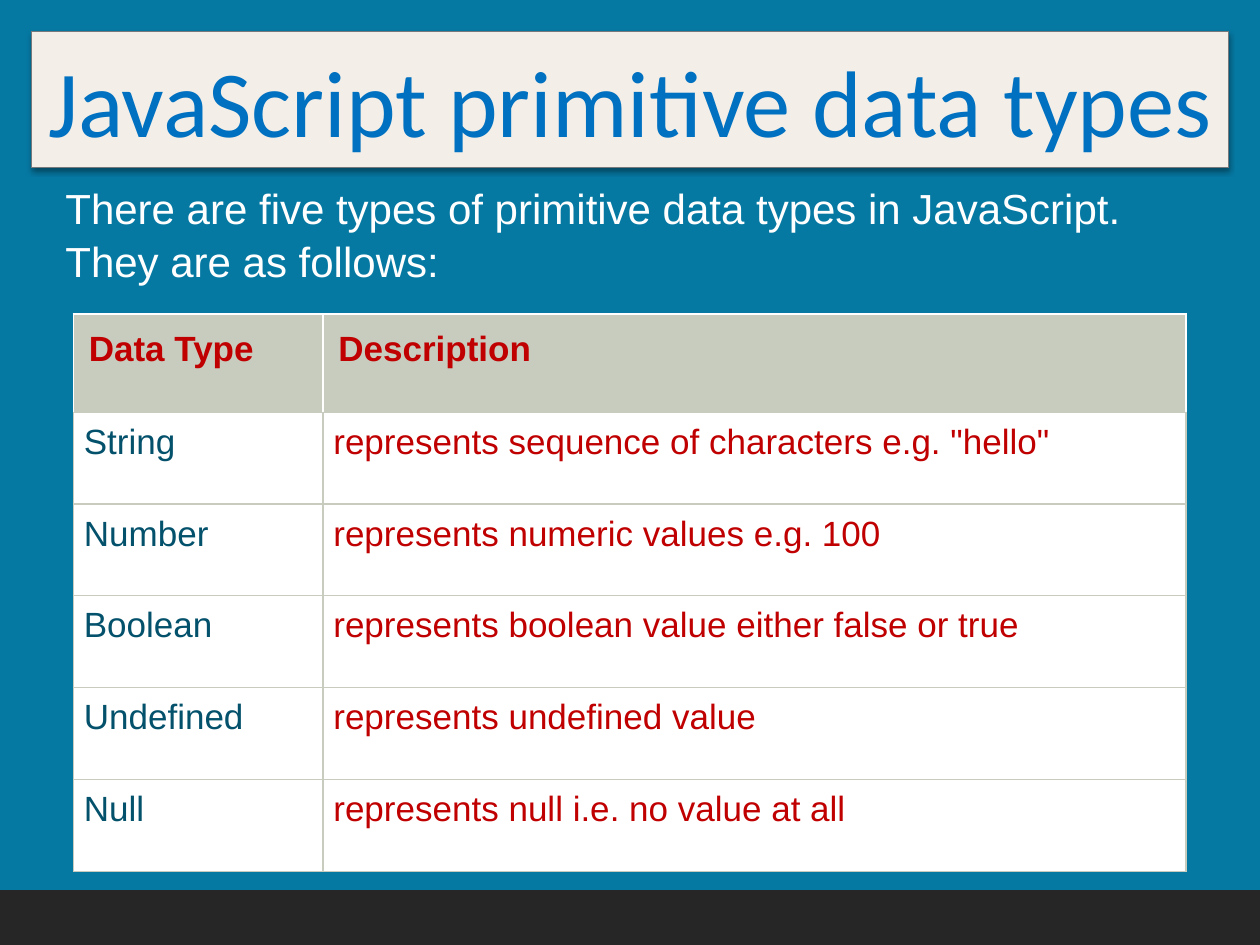
from dataclasses import dataclass

from lxml import etree
from pptx import Presentation
from pptx import util as u
from pptx.dml.color import RGBColor
from pptx.enum import shapes, text
from pptx.oxml import ns

TEAL = RGBColor(0x06, 0x79, 0xA3)
CREAM = RGBColor(0xF3, 0xEF, 0xE8)
GRAY = RGBColor(0x76, 0x78, 0x7B)
BLUE = RGBColor(0x00, 0x70, 0xC0)
DARK = RGBColor(0x26, 0x26, 0x26)
WHITE = RGBColor(0xFF, 0xFF, 0xFF)
SAGE = RGBColor(0xC7, 0xCC, 0xBE)
RED = RGBColor(0xC0, 0x00, 0x00)
NAVY = RGBColor(0x04, 0x51, 0x6C)
BLACK = RGBColor(0x00, 0x00, 0x00)


@dataclass(frozen=True)
class Box:
    left: float
    top: float
    width: float
    height: float

    def lengths(self) -> tuple:
        return tuple(u.Cm(n) for n in (self.left, self.top, self.width, self.height))


@dataclass(frozen=True)
class DataType:
    name: str
    description: str


@dataclass(frozen=True)
class CellStyle:
    colors: tuple[RGBColor, RGBColor]
    fill: RGBColor
    margin: float
    borders: tuple[str, ...]
    bold: bool = False


HEADER = DataType("Data Type", "Description")
DATA_TYPES = [
    DataType("String", 'represents sequence of characters e.g. "hello"'),
    DataType("Number", "represents numeric values e.g. 100"),
    DataType("Boolean", "represents boolean value either false or true"),
    DataType("Undefined", "represents undefined value"),
    DataType("Null", "represents null i.e. no value at all"),
]
HEADER_STYLE = CellStyle((RED, RED), SAGE, 0.31, ("lnB",), bold=True)
BODY_STYLE = CellStyle((NAVY, RED), WHITE, 0.21, ("lnL", "lnR", "lnT", "lnB"))
COLUMN_WIDTHS = (5.03, 17.4)
HEADER_HEIGHT = 1.98
ROW_HEIGHT = 1.85


def write(frame, content: str, *, size: float, color: RGBColor, font: str = "Arial",
          bold: bool = False, align=text.PP_ALIGN.LEFT, space_after: float = 0) -> None:
    """Fill a text frame, one paragraph per line of content."""
    for index, line in enumerate(content.split("\n")):
        paragraph = frame.add_paragraph() if index else frame.paragraphs[0]
        paragraph.alignment = align
        paragraph.space_after = u.Pt(space_after)
        run = paragraph.add_run()
        run.text = line
        run.font.name = font
        run.font.size = u.Pt(size)
        run.font.bold = bold
        run.font.color.rgb = color


def add_color(parent, color: RGBColor):
    return etree.SubElement(parent, ns.qn("a:srgbClr"), val=str(color))


def add_rectangle(slide, box: Box, fill: RGBColor, line: RGBColor, line_width: float):
    shape = slide.shapes.add_shape(shapes.MSO_SHAPE.RECTANGLE, *box.lengths())
    shape.shadow.inherit = False
    shape.fill.solid()
    shape.fill.fore_color.rgb = fill
    shape.line.color.rgb = line
    shape.line.width = u.Pt(line_width)
    return shape


def add_drop_shadow(shape) -> None:
    effects = shape._element.spPr.find(ns.qn("a:effectLst"))
    shadow = etree.SubElement(
        effects, ns.qn("a:outerShdw"), blurRad=str(u.Pt(3.1)), dist=str(u.Pt(1.6)),
        dir="5400000", rotWithShape="0")
    etree.SubElement(add_color(shadow, BLACK), ns.qn("a:alpha"), val="38000")


def add_title(slide) -> None:
    shape = add_rectangle(slide, Box(0.64, 0.64, 24.13, 2.74), CREAM, GRAY, 0.75)
    add_drop_shadow(shape)
    frame = shape.text_frame
    frame.word_wrap = True
    frame.vertical_anchor = text.MSO_ANCHOR.MIDDLE
    frame.margin_left = frame.margin_right = u.Cm(0.2)
    write(frame, "JavaScript primitive data types", size=54, color=BLUE,
          font="Calibri", align=text.PP_ALIGN.CENTER)


def add_intro(slide) -> None:
    frame = slide.shapes.add_textbox(*Box(1.07, 3.43, 22.23, 5.82).lengths()).text_frame
    frame.word_wrap = True
    frame.margin_top = u.Cm(0.24)
    write(frame, "There are five types of primitive data types in JavaScript.\n"
                 "They are as follows:", size=24, color=WHITE, space_after=1.5)


def format_cell(cell, style: CellStyle) -> None:
    cell.margin_left = cell.margin_right = u.Cm(style.margin)
    cell.margin_top = cell.margin_bottom = u.Cm(style.margin)
    properties = cell._tc.get_or_add_tcPr()
    for side in style.borders:
        border = etree.SubElement(properties, ns.qn(f"a:{side}"), w=str(u.Pt(0.75)))
        add_color(etree.SubElement(border, ns.qn("a:solidFill")), SAGE)
    cell.fill.solid()
    cell.fill.fore_color.rgb = style.fill


def add_type_table(slide) -> None:
    rows = [HEADER, *DATA_TYPES]
    height = HEADER_HEIGHT + ROW_HEIGHT * len(DATA_TYPES)
    box = Box(1.48, 6.33, sum(COLUMN_WIDTHS), height)
    table = slide.shapes.add_table(len(rows), len(COLUMN_WIDTHS), *box.lengths()).table
    for column, width in zip(table.columns, COLUMN_WIDTHS):
        column.width = u.Cm(width)
    for index, data_type in enumerate(rows):
        style = BODY_STYLE if index else HEADER_STYLE
        table.rows[index].height = u.Cm(ROW_HEIGHT if index else HEADER_HEIGHT)
        contents = (data_type.name, data_type.description)
        for cell, content, color in zip(table.rows[index].cells, contents, style.colors):
            format_cell(cell, style)
            write(cell.text_frame, content, size=20, color=color, bold=style.bold)


def main() -> None:
    presentation = Presentation()
    presentation.slide_width = u.Cm(25.4)
    presentation.slide_height = u.Cm(19.05)
    slide = presentation.slides.add_slide(presentation.slide_layouts[6])
    slide.background.fill.solid()
    slide.background.fill.fore_color.rgb = TEAL
    add_title(slide)
    add_type_table(slide)
    add_rectangle(slide, Box(0, 17.98, 25.4, 1.07), DARK, DARK, 2)
    add_intro(slide)
    presentation.save("out.pptx")


if __name__ == "__main__":
    main()
